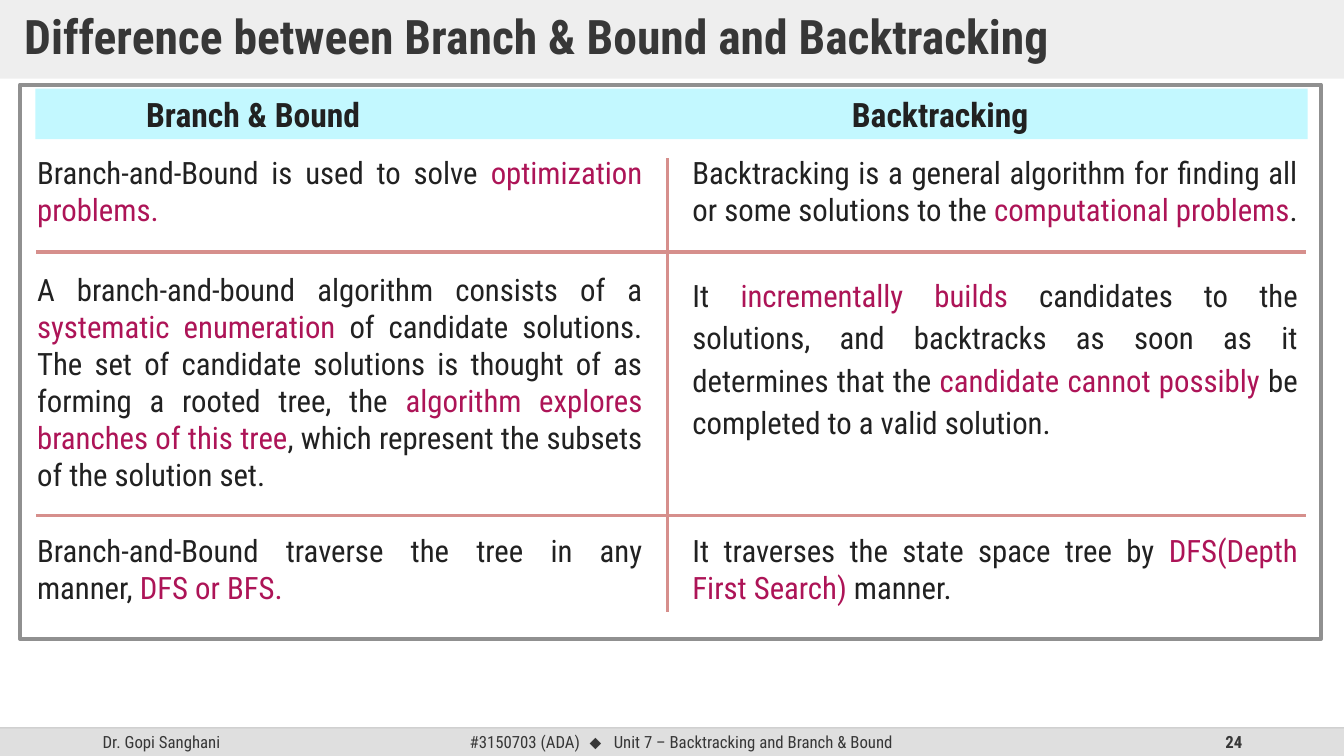
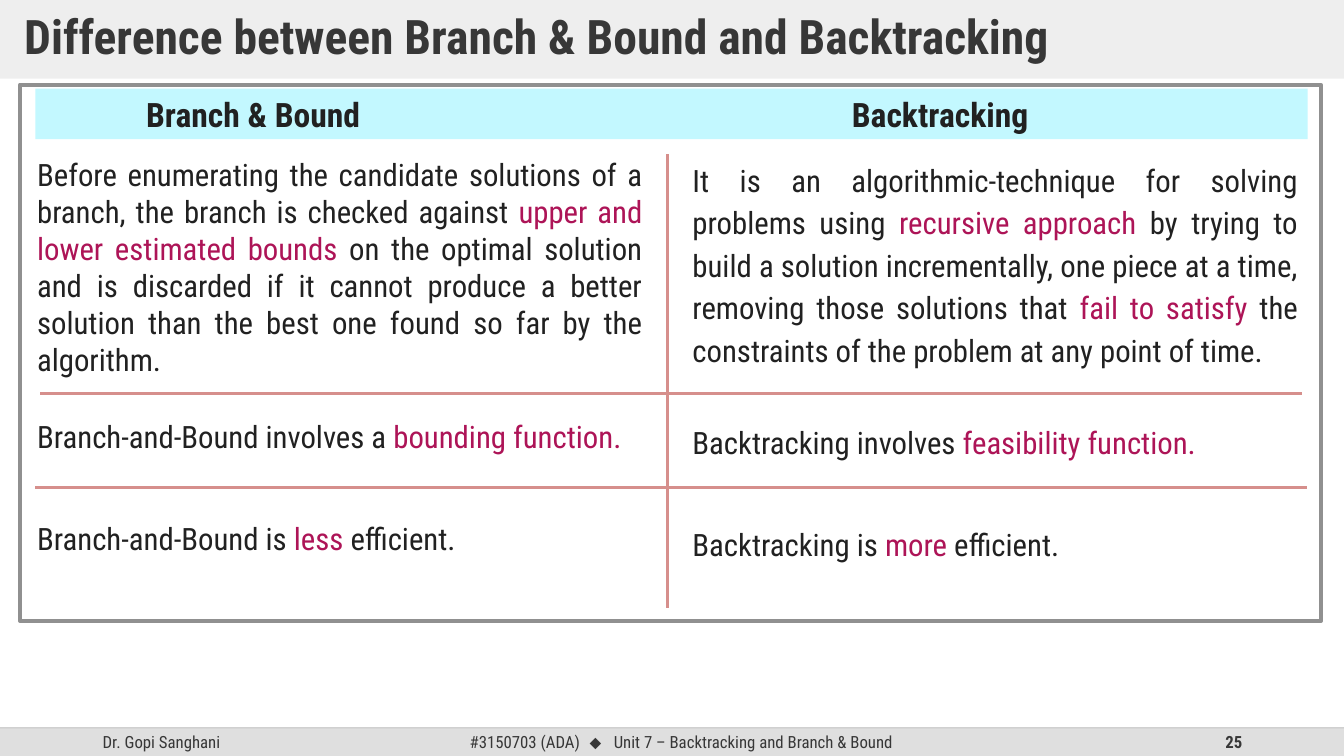
from dataclasses import dataclass
from lxml.etree import SubElement
from pptx import Presentation
from pptx.dml.color import RGBColor
from pptx.enum.shapes import MSO_CONNECTOR, MSO_SHAPE
from pptx.enum.text import MSO_ANCHOR, PP_ALIGN
from pptx.oxml.ns import qn
from pptx.util import Emu, Pt

PX = 9144  # 100 px to the inch
WIDE, HIGH = 1333, 750
COLS = (27, 677)
COL_WIDTH = 620
FOOT_TOP = 722
LOOSE = 1.15


@dataclass(frozen=True)
class Theme:
    font: str = "Roboto Condensed"
    mark_font: str = "Arial"
    dark: str = "373737"
    ink: str = "212121"
    accent: str = "AD1457"
    band: str = "DFDFDF"
    edge: str = "BFBFBF"
    frame: str = "909090"
    head: str = "C3F8FF"
    rule: str = "D68F8C"
    title_size: int = 34
    head_size: int = 24
    body_size: int = 22
    foot_size: int = 12


THEME = Theme()


def px(*values):
    return [Emu(value * PX) for value in values]


def fade(shape, percent):
    """Make the one colour of a shape or line partly transparent."""
    color = shape._element.spPr.find(".//" + qn("a:srgbClr"))
    SubElement(color, qn("a:alpha"), val=str(percent * 1000))


def add_box(slide, place, fill=None, line=None, weight=3):
    box = slide.shapes.add_shape(MSO_SHAPE.RECTANGLE, *px(*place))
    box.shadow.inherit = False
    if fill:
        box.fill.solid()
        box.fill.fore_color.rgb = RGBColor.from_string(fill)
    else:
        box.fill.background()
    if line:
        box.line.color.rgb = RGBColor.from_string(line)
        box.line.width = Pt(weight)
    else:
        box.line.fill.background()
    return box


def add_line(slide, ends, color, weight=2.25):
    line = slide.shapes.add_connector(MSO_CONNECTOR.STRAIGHT, *px(*ends))
    line.line.color.rgb = RGBColor.from_string(color)
    line.line.width = Pt(weight)
    SubElement(line._element.spPr, qn("a:effectLst"))
    return line


def add_tabs(para, stops):
    tabs = SubElement(para._p.get_or_add_pPr(), qn("a:tabLst"))
    for stop in stops:
        SubElement(tabs, qn("a:tab"), pos=str(stop * PX), algn="l")


def write(shape, text, size, color, bold=False, align=PP_ALIGN.LEFT,
          anchor=MSO_ANCHOR.TOP, spacing=None, tabs=()):
    """Fill a shape with one paragraph; parts between asterisks are accented."""
    frame = shape.text_frame
    frame.word_wrap = True
    frame.vertical_anchor = anchor
    para = frame.paragraphs[0]
    para.alignment = align
    if spacing:
        para.line_spacing = spacing
    if tabs:
        add_tabs(para, tabs)
    for index, part in enumerate(text.split("*")):
        if not part:
            continue
        run = para.add_run()
        run.text = part
        font = run.font
        font.name, font.size, font.bold = THEME.font, Pt(size), bold
        shade = THEME.accent if index % 2 else color
        font.color.rgb = RGBColor.from_string(shade)
    return para


def add_text(slide, place, *args, **style):
    return write(slide.shapes.add_textbox(*px(*place)), *args, **style)


def add_title(slide, text):
    band = add_box(slide, (0, 0, WIDE, 78), THEME.band)
    fade(band, 50)
    frame = band.text_frame
    frame.margin_left, frame.margin_right = px(24, 24)
    frame.margin_top, frame.margin_bottom = px(12, 12)
    write(band, text, THEME.title_size, THEME.dark, bold=True,
          anchor=MSO_ANCHOR.MIDDLE, spacing=0.9)


def add_footer(slide, number):
    tall = HIGH - FOOT_TOP
    add_box(slide, (0, FOOT_TOP, WIDE, tall), THEME.band)
    style = dict(size=THEME.foot_size, color=THEME.dark,
                 anchor=MSO_ANCHOR.MIDDLE)
    add_text(slide, (92, FOOT_TOP, 300, tall), "Dr. Gopi Sanghani", **style)
    unit = add_text(
        slide, (456, FOOT_TOP, 454, tall),
        "#3150703 (ADA)\t**⬥**\tUnit 7 – Backtracking and Branch & Bound",
        tabs=(119, 143), **style)
    unit.runs[1].font.name = THEME.mark_font
    add_text(slide, (942, FOOT_TOP, 300, tall), str(number), bold=True,
             align=PP_ALIGN.RIGHT, **style)
    edge = add_line(slide, (0, FOOT_TOP, WIDE, FOOT_TOP), THEME.edge, 1)
    fade(edge, 70)


def add_table_head(slide):
    head = add_box(slide, (35, 88, 1262, 50), THEME.head)
    write(head, "\tBranch & Bound\tBacktracking", THEME.head_size, THEME.ink,
          bold=True, tabs=(100, 800))


def add_row(slide, top, height, texts, spacing=None):
    """Set a pair of statements side by side; spacing is for the right one."""
    for left, text, space in zip(COLS, texts, (None, spacing)):
        add_text(slide, (left, top, COL_WIDTH, height), text,
                 THEME.body_size, THEME.ink, align=PP_ALIGN.JUSTIFY,
                 spacing=space)


def add_rules(slide, top, rows):
    """Draw the column divider from top, and a row rule per (inset, y)."""
    add_line(slide, (662, top, 662, top + 450), THEME.rule)
    for inset, y in rows:
        add_line(slide, (inset, y, 1331 - inset, y), THEME.rule)


def add_page(deck, number, tall):
    slide = deck.slides.add_slide(deck.slide_layouts[6])
    add_footer(slide, number)
    add_title(slide, "Difference between Branch & Bound and Backtracking")
    add_box(slide, (20, 84, 1290, tall), line=THEME.frame)
    add_table_head(slide)
    return slide


def add_methods(deck):
    slide = add_page(deck, 24, 550)
    add_rules(slide, 157, [(36, 250), (36, 511)])
    add_row(slide, 148, 84, (
        "Branch-and-Bound is used to solve *optimization problems.*",
        "Backtracking is a general algorithm for finding all or some "
        "solutions to the *computational problems*."))
    add_row(slide, 264, 232, (
        "A branch-and-bound algorithm consists of a *systematic enumeration "
        "*of candidate solutions. The set of candidate solutions is thought "
        "of as forming a rooted tree, the *algorithm explores branches of "
        "this tree*, which represent the subsets of the solution set.",
        "It *incrementally builds *candidates to the solutions, and "
        "backtracks as soon as it determines that the *candidate cannot "
        "possibly *be completed to a valid solution."), LOOSE)
    add_row(slide, 523, 84, (
        "Branch-and-Bound traverse the tree in any manner, *DFS or BFS.*",
        "It traverses the state space tree by *DFS(Depth First Search)* "
        "manner."))


def add_bounds(deck):
    slide = add_page(deck, 25, 532)
    add_rules(slide, 153, [(40, 390), (35, 484)])
    add_row(slide, 150, 232, (
        "Before enumerating the candidate solutions of a branch, the branch "
        "is checked against *upper and lower estimated bounds* on the "
        "optimal solution and is discarded if it cannot produce a better "
        "solution than the best one found so far by the algorithm.",
        "It is an algorithmic-technique for solving problems using "
        "*recursive approach *by trying to build a solution incrementally, "
        "one piece at a time, removing those solutions that *fail to satisfy "
        "*the constraints of the problem at any point of time."), LOOSE)
    add_row(slide, 410, 47, (
        "Branch-and-Bound involves a *bounding function.*",
        "Backtracking involves *feasibility function.*"), LOOSE)
    add_row(slide, 511, 47, (
        "Branch-and-Bound is *less *efficient.",
        "Backtracking is *more* efficient."), LOOSE)


def main():
    deck = Presentation()
    deck.slide_width, deck.slide_height = px(WIDE, HIGH)
    add_methods(deck)
    add_bounds(deck)
    deck.save("out.pptx")


if __name__ == "__main__":
    main()
